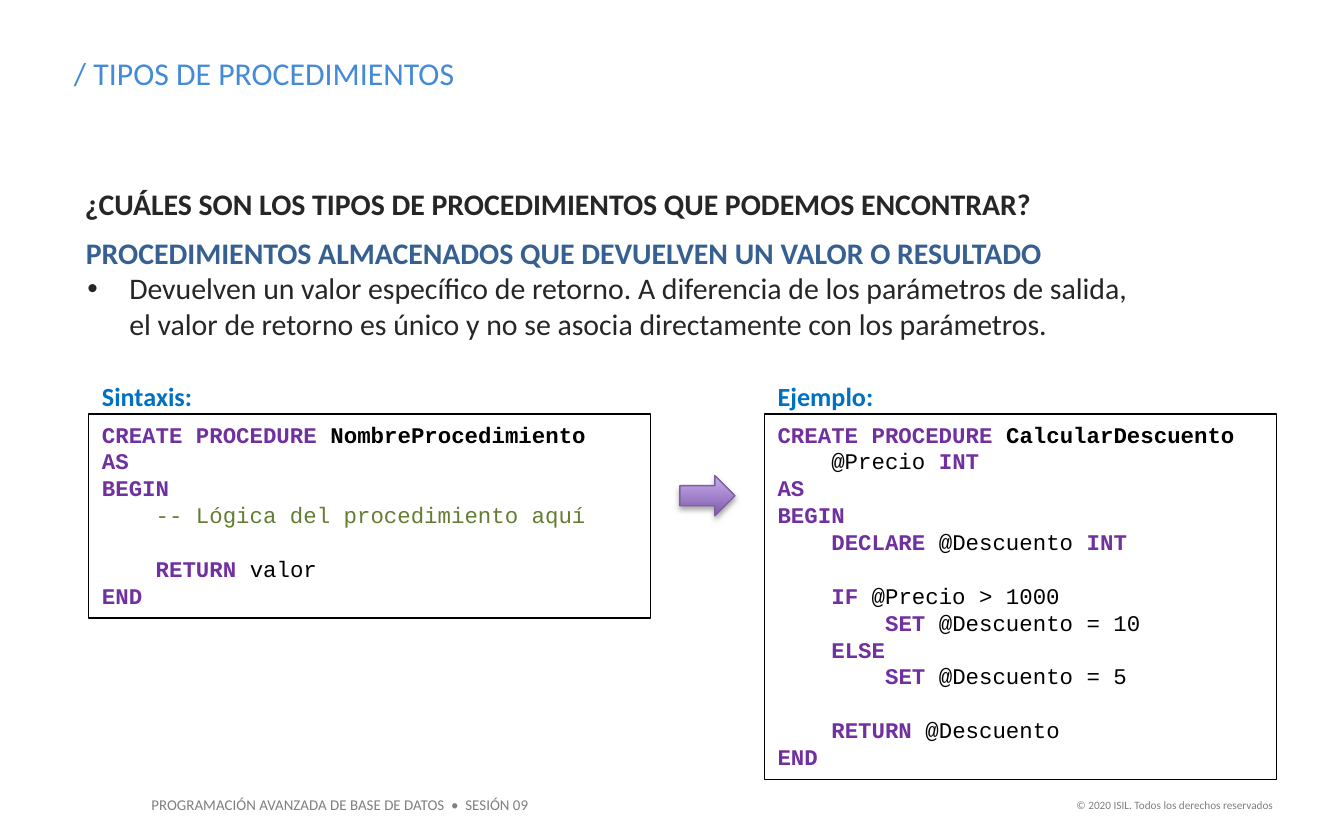
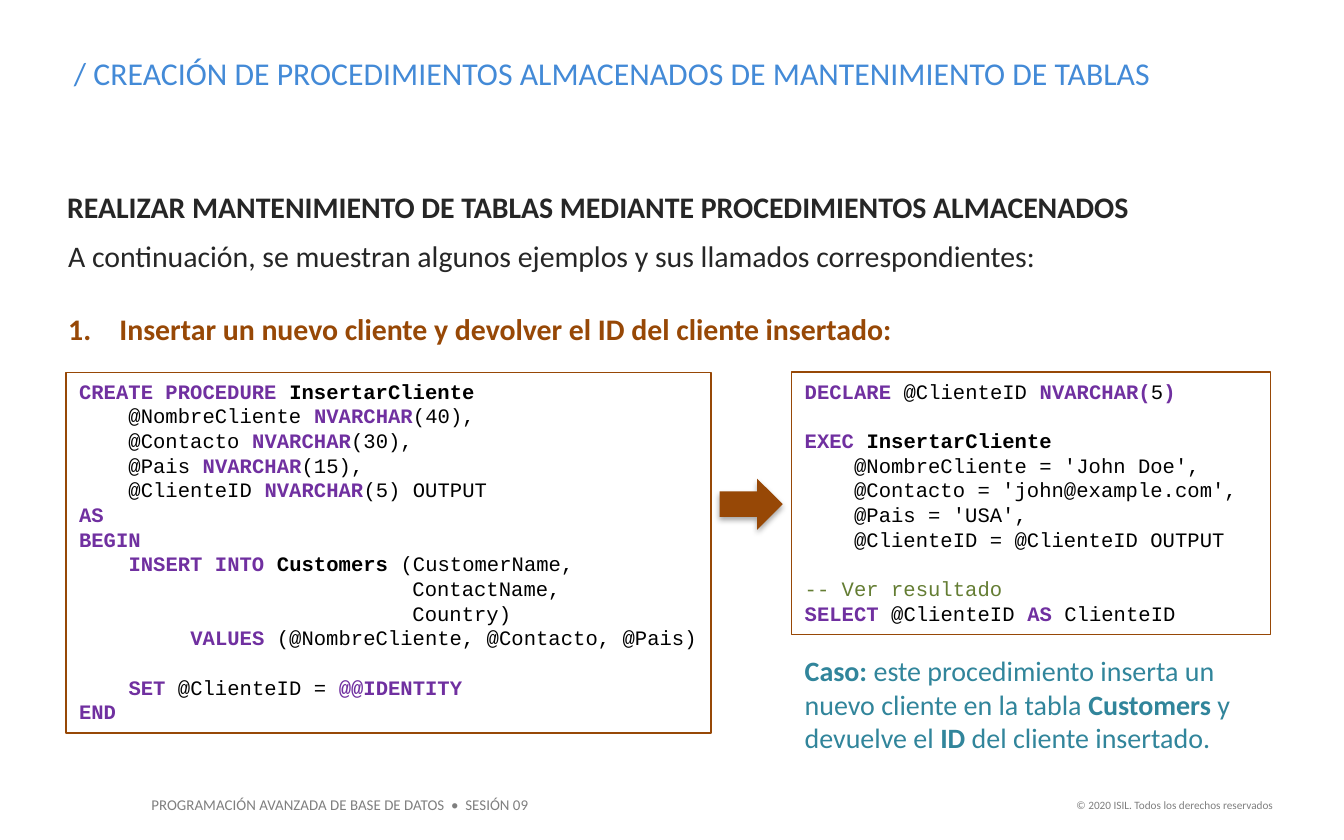
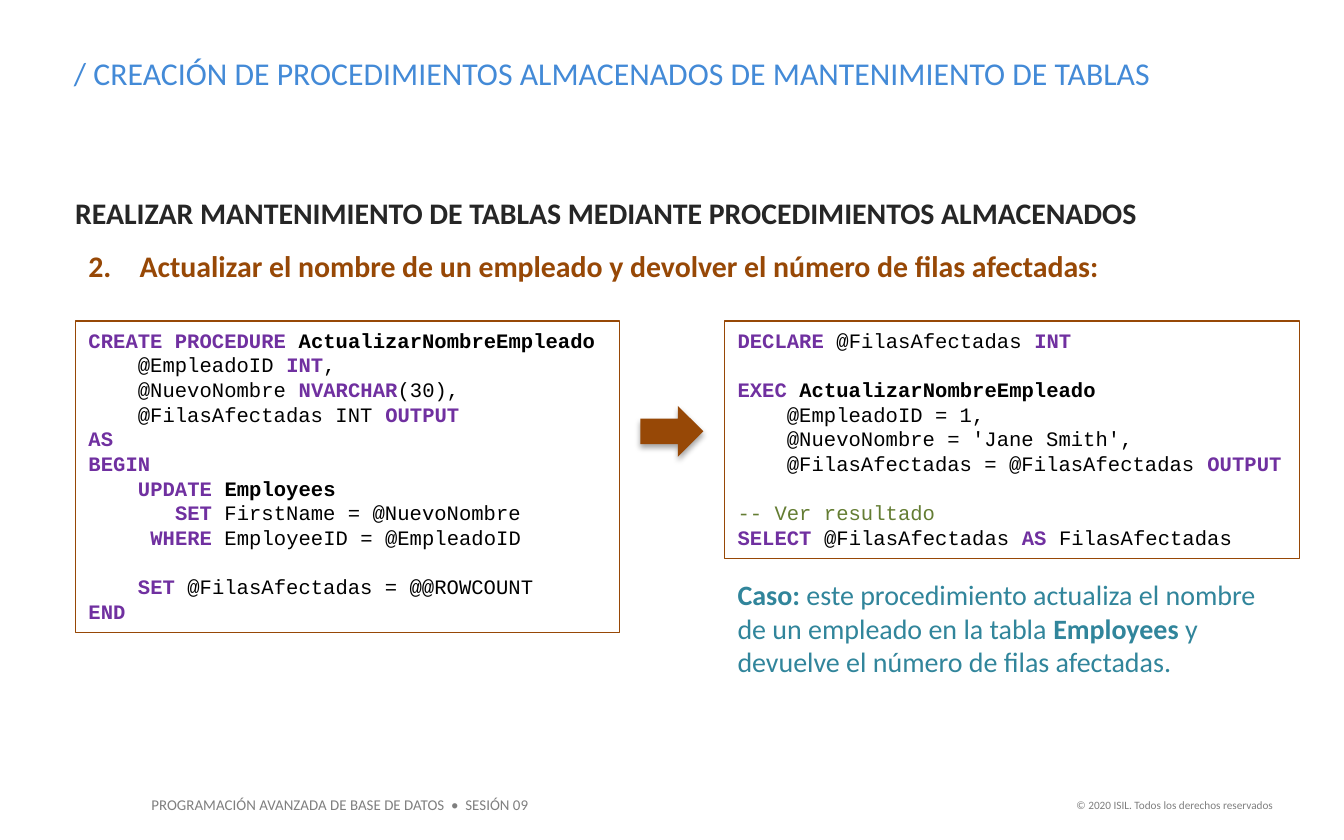
from dataclasses import dataclass
from typing import NamedTuple

from lxml import etree
from pptx import Presentation
from pptx.dml.color import RGBColor
from pptx.enum.shapes import MSO_SHAPE
from pptx.enum.text import MSO_ANCHOR, MSO_AUTO_SIZE, PP_ALIGN
from pptx.oxml.ns import qn
from pptx.util import Pt

RECTANGLE = MSO_SHAPE.RECTANGLE
RIGHT_ARROW = MSO_SHAPE.RIGHT_ARROW
TOP = MSO_ANCHOR.TOP
NO_AUTOFIT = MSO_AUTO_SIZE.NONE
LEFT, RIGHT, JUSTIFY = PP_ALIGN.LEFT, PP_ALIGN.RIGHT, PP_ALIGN.JUSTIFY
TITLE_AND_CONTENT = 1


@dataclass(frozen=True)
class Theme:
    """Colours, fonts, type sizes and spacings of the whole presentation."""
    text_font: str = "Calibri"
    code_font: str = "Courier New"
    title: str = "438AD7"
    text: str = "262626"
    subtitle: str = "366092"
    label: str = "0070C0"
    accent: str = "974806"
    case: str = "31859B"
    footer: str = "7F7F7F"
    code: str = "000000"
    keyword: str = "7030A0"
    comment: str = "647D33"
    arrow_dark: str = "7F5AAB"
    arrow_light: str = "C7AEED"
    arrow_line: str = "7C5F9F"
    title_size: float = 17
    text_size: float = 16
    case_size: float = 15
    label_size: float = 14
    footer_size: float = 8
    copyright_size: float = 6
    line_factor: float = 1.2
    code_padding: float = 8.6
    line_width: float = 0.75


class Box(NamedTuple):
    """A rectangle in points."""
    left: float
    top: float
    width: float
    height: float

    def lengths(self):
        """Return the four sides as lengths."""
        return [Pt(round(side, 2)) for side in self]


THEME = Theme()
INSETS = (7.2, 3.6)
NO_INSETS = (0, 0)
MAINTENANCE_TITLE = "/ CREACIÓN DE PROCEDIMIENTOS ALMACENADOS DE MANTENIMIENTO DE TABLAS"
MAINTENANCE_HEADING = "REALIZAR MANTENIMIENTO DE TABLAS MEDIANTE PROCEDIMIENTOS ALMACENADOS"

SYNTAX_CODE = """~CREATE PROCEDURE ~^NombreProcedimiento^
~AS~
~BEGIN~
    -- Lógica del procedimiento aquí

    ~RETURN ~valor
~END~"""

DISCOUNT_CODE = """~CREATE PROCEDURE ~^CalcularDescuento^
    @Precio ~INT~
~AS~
~BEGIN~
    ~DECLARE ~@Descuento ~INT~

    ~IF ~@Precio > 1000
        ~SET ~@Descuento = 10
    ~ELSE~
        ~SET ~@Descuento = 5

    ~RETURN ~@Descuento
~END~"""

INSERT_CODE = """~CREATE PROCEDURE ~^InsertarCliente^
    @NombreCliente ~NVARCHAR~(40),
    @Contacto ~NVARCHAR~(30),
    @Pais ~NVARCHAR~(15),
    @ClienteID ~NVARCHAR~(5) OUTPUT
~AS~
~BEGIN~
    ~INSERT INTO ~^Customers^ (CustomerName,
                           ContactName,
                           Country)
         ~VALUES~ (@NombreCliente, @Contacto, @Pais)

    ~SET~ @ClienteID = ~@@IDENTITY~
~END~"""

INSERT_CALL = """~DECLARE~ @ClienteID ~NVARCHAR(~5~)~

~EXEC ~^InsertarCliente^
    @NombreCliente = 'John Doe',
    @Contacto = 'john@example.com',
    @Pais = 'USA',
    @ClienteID = @ClienteID OUTPUT

-- Ver resultado
~SELECT~ @ClienteID ~AS~ ClienteID"""

UPDATE_CODE = """~CREATE PROCEDURE ~^ActualizarNombreEmpleado^
    @EmpleadoID ~INT~,
    @NuevoNombre ~NVARCHAR~(30),
    @FilasAfectadas INT ~OUTPUT~
~AS~
~BEGIN~
    ~UPDATE ~^Employees^
       ~SET~ FirstName = @NuevoNombre
     ~WHERE~ EmployeeID = @EmpleadoID

    ~SET~ @FilasAfectadas = @@ROWCOUNT
~END~"""

UPDATE_CALL = """~DECLARE ~@FilasAfectadas ~INT~

~EXEC ~^ActualizarNombreEmpleado^
    @EmpleadoID = 1,
    @NuevoNombre = 'Jane Smith',
    @FilasAfectadas = @FilasAfectadas ~OUTPUT~

-- Ver resultado
~SELECT ~@FilasAfectadas ~AS ~FilasAfectadas"""


def apply_format(target, values):
    """Set every attribute named in a dict of format values."""
    for name, value in values.items():
        setattr(target, name, value)


def add_run(paragraph, text, size, color, bold=False, font=THEME.text_font):
    """Add one formatted run."""
    run = paragraph.add_run()
    run.text = text
    apply_format(run.font, {"name": font, "size": Pt(size), "bold": bold})
    run.font.color.rgb = RGBColor.from_string(color)


def prepare_frame(shape, insets):
    """Give a shape's text frame its insets, wrapping and anchor."""
    side, edge = map(Pt, insets)
    apply_format(shape.text_frame, {
        "margin_left": side, "margin_right": side, "margin_top": edge, "margin_bottom": edge,
        "word_wrap": True, "auto_size": NO_AUTOFIT, "vertical_anchor": TOP})
    return shape.text_frame


def place(shape, box):
    """Move a placeholder to a box."""
    apply_format(shape, dict(zip(("left", "top", "width", "height"), box.lengths())))


def add_text(slide, box, text, size, color, bold=False, align=LEFT, insets=INSETS):
    """Add a one-paragraph text box; carets enclose bold words."""
    shape = slide.shapes.add_textbox(*box.lengths())
    paragraph = prepare_frame(shape, insets).paragraphs[0]
    paragraph.alignment = align
    for index, part in enumerate(text.split("^")):
        if part:
            add_run(paragraph, part, size, color, bold or index % 2 == 1)
    return shape


def set_bullet(paragraph, indent, hanging, tag, color=None, **attributes):
    """Set the indents of a paragraph and its bullet element."""
    properties = paragraph._p.get_or_add_pPr()
    properties.set("marL", str(Pt(indent)))
    properties.set("indent", str(Pt(-hanging)))
    if color:
        bullet_color = etree.SubElement(properties, qn("a:buClr"))
        etree.SubElement(bullet_color, qn("a:srgbClr"), val=color)
    etree.SubElement(properties, qn(tag), attributes)


def fill_body(slide, box, items):
    """Write formatted lines in the body placeholder."""
    body = slide.placeholders[1]
    place(body, box)
    frame = prepare_frame(body, NO_INSETS)
    for index, (text, color, bold, gap, bullet) in enumerate(items):
        paragraph = frame.add_paragraph() if index else frame.paragraphs[0]
        paragraph.space_before = Pt(gap)
        set_bullet(paragraph, **bullet)
        add_run(paragraph, text, THEME.text_size, color, bold)


def plain():
    """Return the settings of a line without bullet."""
    return {"indent": 0.5, "hanging": 0, "tag": "a:buNone"}


def numbered(start):
    """Return the settings of a numbered line."""
    return {"indent": 28, "hanging": 27.5, "tag": "a:buAutoNum", "color": THEME.accent,
            "type": "arabicPeriod", "startAt": str(start)}


def add_code_line(paragraph, line, size):
    """Write a code line; tildes enclose keywords and carets enclose bold names."""
    if line.lstrip().startswith("--"):
        add_run(paragraph, line, size, THEME.comment, font=THEME.code_font)
        return
    for index, part in enumerate(line.split("~")):
        is_keyword = index % 2 == 1
        color = THEME.keyword if is_keyword else THEME.code
        for position, piece in enumerate(part.split("^")):
            if piece:
                add_run(paragraph, piece, size, color, is_keyword or position % 2 == 1,
                        THEME.code_font)


def add_code(slide, left, top, width, code, size, line_color):
    """Draw a framed listing as tall as its lines and return its box."""
    lines = code.split("\n")
    pitch = size * THEME.line_factor
    box = Box(left, top, width, len(lines) * pitch + THEME.code_padding)
    shape = slide.shapes.add_shape(RECTANGLE, *box.lengths())
    shape.shadow.inherit = False
    shape.fill.background()
    shape.line.color.rgb = RGBColor.from_string(line_color)
    shape.line.width = Pt(THEME.line_width)
    frame = prepare_frame(shape, INSETS)
    gap = 0
    for index, line in enumerate(lines):
        if not line:
            gap += pitch
            continue
        paragraph = frame.add_paragraph() if index else frame.paragraphs[0]
        apply_format(paragraph, {"alignment": LEFT, "line_spacing": Pt(pitch),
                                 "space_before": Pt(gap)})
        add_code_line(paragraph, line, size)
        gap = 0
    return box


def add_arrow(slide, source, target, drop, width, height, gradient=False):
    """Draw an arrow centred in the gap between two listings."""
    center = (source.left + source.width + target.left) / 2
    box = Box(center - width / 2, source.top + drop, width, height)
    arrow = slide.shapes.add_shape(RIGHT_ARROW, *box.lengths())
    if gradient:
        arrow.fill.gradient()
        arrow.fill.gradient_angle = 90
        for stop, color, position in zip(arrow.fill.gradient_stops,
                                         (THEME.arrow_dark, THEME.arrow_light), (0, 1)):
            stop.color.rgb = RGBColor.from_string(color)
            stop.position = position
        arrow.line.color.rgb = RGBColor.from_string(THEME.arrow_line)
        arrow.line.width = Pt(THEME.line_width)
    else:
        arrow.fill.solid()
        arrow.fill.fore_color.rgb = RGBColor.from_string(THEME.accent)
        arrow.line.fill.background()
    arrow.shadow.inherit = False
    effects = arrow.element.spPr.find(qn("a:effectLst"))
    shadow = etree.SubElement(effects, qn("a:outerShdw"), blurRad=str(Pt(3.1)),
                              dist=str(Pt(1.8)), dir="5400000", rotWithShape="0")
    color = etree.SubElement(shadow, qn("a:srgbClr"), val="000000")
    etree.SubElement(color, qn("a:alpha"), val="35000")


def add_footer(slide):
    """Write the footer once and hand it to the layout of the slide."""
    footer = add_text(slide, Box(74, 422.5, 218, 17.5),
                      "PROGRAMACIÓN AVANZADA DE BASE DE DATOS  •  SESIÓN 09",
                      THEME.footer_size, THEME.footer)
    rights = add_text(slide, Box(567.5, 424, 121.5, 14.5),
                      "© 2020 ISIL. Todos los derechos reservados",
                      THEME.copyright_size, THEME.footer, align=RIGHT)
    for shape in (footer, rights):
        slide.slide_layout.shapes.element.append(shape.element)


def add_titled_slide(presentation, title, title_width, heading, heading_box, align=LEFT):
    """Add a slide with its title and bold heading."""
    slide = presentation.slides.add_slide(presentation.slide_layouts[TITLE_AND_CONTENT])
    place(slide.shapes.title, Box(32.4, 25.2, title_width, 28))
    paragraph = prepare_frame(slide.shapes.title, INSETS).paragraphs[0]
    paragraph.alignment = LEFT
    add_run(paragraph, title, THEME.title_size, THEME.title)
    add_text(slide, heading_box, heading, THEME.text_size, THEME.text, True, align, NO_INSETS)
    return slide


def build_types_slide(presentation):
    """Build the slide on procedures that return a value."""
    slide = add_titled_slide(presentation, "/ TIPOS DE PROCEDIMIENTOS", 567.5,
                             "¿CUÁLES SON LOS TIPOS DE PROCEDIMIENTOS QUE PODEMOS ENCONTRAR?",
                             Box(45.5, 99.5, 529, 19.5))
    bullet = {"indent": 23.75, "hanging": 22.5, "tag": "a:buChar", "color": THEME.text, "char": "•"}
    fill_body(slide, Box(45.5, 125.5, 567.5, 58.5), [
        ("PROCEDIMIENTOS ALMACENADOS QUE DEVUELVEN UN VALOR O RESULTADO",
         THEME.subtitle, True, 0, plain()),
        ("Devuelven un valor específico de retorno. A diferencia de los parámetros de salida, "
         "el valor de retorno es único y no se asocia directamente con los parámetros.",
         THEME.text, False, 0, bullet)])
    listings = []
    for label, code, left, width in (("Sintaxis:", SYNTAX_CODE, 47.5, 301),
                                     ("Ejemplo:", DISCOUNT_CODE, 409.5, 274.5)):
        box = add_code(slide, left, 221.8, width, code, 12, THEME.code)
        add_text(slide, Box(left, box.top - 21.6, 70, 24.5), label,
                 THEME.label_size, THEME.label, True)
        listings.append(box)
    add_arrow(slide, *listings, drop=33, width=29.5, height=21.6, gradient=True)
    return slide


def build_maintenance_slide(presentation, heading_box, body_box, items, top,
                            listings, arrow_drop, case):
    """Build a slide with a procedure, its call and the explained case."""
    slide = add_titled_slide(presentation, MAINTENANCE_TITLE, 648.5,
                             MAINTENANCE_HEADING, heading_box, JUSTIFY)
    fill_body(slide, body_box, items)
    procedure, call = [add_code(slide, left, top, width, code, 11, THEME.accent)
                       for left, width, code in listings]
    add_arrow(slide, procedure, call, arrow_drop, 33.8, 27.4)
    add_text(slide, Box(call.left, call.top + call.height + 6.5, call.width, 62),
             case, THEME.case_size, THEME.case)


def main():
    """Build and save the presentation."""
    presentation = Presentation()
    apply_format(presentation, {"slide_width": Pt(720), "slide_height": Pt(450)})
    add_footer(build_types_slide(presentation))
    build_maintenance_slide(
        presentation, Box(36, 101, 579, 19.5), Box(36, 127.5, 538, 58.5),
        [("A continuación, se muestran algunos ejemplos y sus llamados correspondientes:",
          THEME.text, False, 0, plain()),
         ("Insertar un nuevo cliente y devolver el ID del cliente insertado:",
          THEME.accent, True, 19.5, numbered(1))],
        199.4, [(35.3, 345.6, INSERT_CODE), (424, 256.5, INSERT_CALL)], 57,
        "^Caso: ^este procedimiento inserta un nuevo cliente en la tabla ^Customers^ "
        "y devuelve el ^ID^ del cliente insertado.")
    build_maintenance_slide(
        presentation, Box(40.3, 104.4, 579, 19.5), Box(46.8, 132.5, 565, 19.5),
        [("Actualizar el nombre de un empleado y devolver el número de filas afectadas:",
          THEME.accent, True, 0, numbered(2))],
        172, [(40.3, 291.6, UPDATE_CODE), (388, 308.2, UPDATE_CALL)], 45.4,
        "^Caso: ^este procedimiento actualiza el nombre de un empleado en la tabla "
        "^Employees^ y devuelve el número de filas afectadas.")
    presentation.save("out.pptx")


if __name__ == "__main__":
    main()
